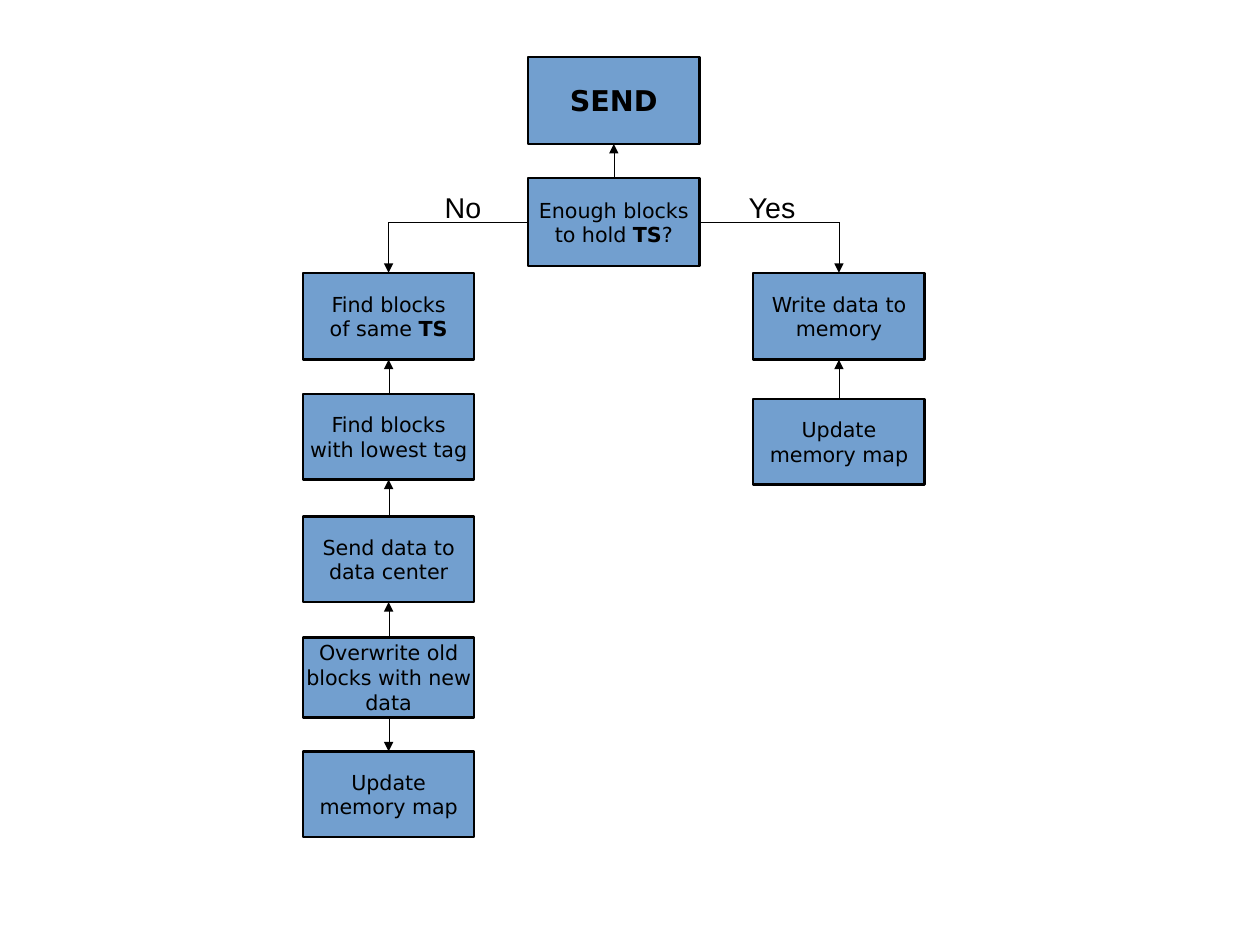
from dataclasses import dataclass

import lxml.etree
import pptx
import pptx.dml.color
import pptx.enum.shapes
import pptx.enum.text
import pptx.oxml.ns
import pptx.util

SLIDE_WIDTH, SLIDE_HEIGHT = pptx.util.Cm(28), pptx.util.Cm(21)
GRID_LEFT, GRID_TOP = 2.65, 0.5
COLUMN_PITCH, ROW_PITCH = 1.97, 1.06
STEP_WIDTH, STEP_HEIGHT = 1.5, 0.75
BLACK, STEP_BLUE = "000000", "729FCF"
TOP, LEFT, BOTTOM, RIGHT = range(4)  # connection sites of a rectangle


@dataclass(frozen=True)
class Step:
    """A box of the flow; words between asterisks are bold."""
    text: str
    column: float
    row: float
    height: float = STEP_HEIGHT
    size: int = 13


@dataclass(frozen=True)
class Arrow:
    start: str
    start_site: int
    end: str
    end_site: int


@dataclass(frozen=True)
class Answer:
    text: str
    column: float
    row: float
    width: float


STEPS = {
    "send": Step("*SEND*", 1, 0, height=0.76, size=18),
    "question": Step("Enough blocks\nto hold *TS*?", 1, 1, height=0.77),
    "find same": Step("Find blocks\nof same *TS*", 0, 1.78, height=0.76),
    "find lowest": Step("Find blocks\nwith lowest tag", 0, 2.78),
    "send data": Step("Send data to\ndata center", 0, 3.79),
    "overwrite": Step("Overwrite old\nblocks with new\ndata", 0, 4.79, height=0.7),
    "update after overwrite": Step("Update\nmemory map", 0, 5.73),
    "write": Step("Write data to\nmemory", 2, 1.78, height=0.76),
    "update after write": Step("Update\nmemory map", 2, 2.82),
}

ARROWS = [
    Arrow("question", TOP, "send", BOTTOM),
    Arrow("question", LEFT, "find same", TOP),
    Arrow("question", RIGHT, "write", TOP),
    Arrow("find lowest", TOP, "find same", BOTTOM),
    Arrow("send data", TOP, "find lowest", BOTTOM),
    Arrow("overwrite", TOP, "send data", BOTTOM),
    Arrow("overwrite", BOTTOM, "update after overwrite", TOP),
    Arrow("update after write", TOP, "write", BOTTOM),
]

ANSWERS = [Answer("No", 0.58, 1.05, 0.56), Answer("Yes", 1.93, 1.05, 0.62)]


def rgb(code: str) -> pptx.dml.color.RGBColor:
    return pptx.dml.color.RGBColor.from_string(code)


def grid_box(column: float, row: float, width: float, height: float) -> list[int]:
    """Turn a grid place and a size in inches into left, top, width, height."""
    left = GRID_LEFT + column * COLUMN_PITCH
    top = GRID_TOP + row * ROW_PITCH
    return [pptx.util.Inches(length) for length in (left, top, width, height)]


def style_paragraph(paragraph, font_name: str, size: int) -> None:
    paragraph.font.name = font_name
    paragraph.font.size = pptx.util.Pt(size)
    paragraph.font.color.rgb = rgb(BLACK)


def write_marked_text(paragraph, text: str) -> None:
    for line_number, line in enumerate(text.split("\n")):
        if line_number:
            paragraph.add_line_break()
        for part_number, part in enumerate(line.split("*")):
            if part:
                run = paragraph.add_run()
                run.text = part
                if part_number % 2:
                    run.font.bold = True


def draw_step(slide, step: Step):
    box = slide.shapes.add_shape(
        pptx.enum.shapes.MSO_SHAPE.RECTANGLE,
        *grid_box(step.column, step.row, STEP_WIDTH, step.height))
    box.shadow.inherit = False
    box.fill.solid()
    box.fill.fore_color.rgb = rgb(STEP_BLUE)
    box.line.color.rgb = rgb(BLACK)
    box.line.width = pptx.util.Pt(1.5)
    frame = box.text_frame
    frame.word_wrap = False
    frame.vertical_anchor = pptx.enum.text.MSO_ANCHOR.MIDDLE
    frame.margin_left = frame.margin_right = pptx.util.Inches(0.11)
    frame.margin_top = frame.margin_bottom = pptx.util.Inches(0.06)
    paragraph = frame.paragraphs[0]
    paragraph.alignment = pptx.enum.text.PP_ALIGN.CENTER
    style_paragraph(paragraph, "DejaVu Sans", step.size)
    write_marked_text(paragraph, step.text)
    return box


def draw_arrow(slide, arrow: Arrow, boxes: dict) -> None:
    """Join two boxes: straight in a column, with one bend between columns."""
    bent = STEPS[arrow.start].column != STEPS[arrow.end].column
    kinds = pptx.enum.shapes.MSO_CONNECTOR
    connector = slide.shapes.add_connector(
        kinds.ELBOW if bent else kinds.STRAIGHT, 0, 0, 0, 0)
    connector.begin_connect(boxes[arrow.start], arrow.start_site)
    connector.end_connect(boxes[arrow.end], arrow.end_site)
    connector.line.color.rgb = rgb(BLACK)
    qn = pptx.oxml.ns.qn
    properties = connector.element.spPr
    if bent:
        properties.find(qn("a:prstGeom")).set("prst", "bentConnector2")
    outline = properties.find(qn("a:ln"))
    outline.set("w", "0")  # hairline; line.width drops a zero
    lxml.etree.SubElement(outline, qn("a:tailEnd"), type="triangle")
    lxml.etree.SubElement(properties, qn("a:effectLst"))


def draw_answer(slide, answer: Answer) -> None:
    label = slide.shapes.add_textbox(
        *grid_box(answer.column, answer.row, answer.width, 0.43))
    label.text_frame.word_wrap = True
    paragraph = label.text_frame.paragraphs[0]
    style_paragraph(paragraph, "Arial", 18)
    write_marked_text(paragraph, answer.text)


def main() -> None:
    presentation = pptx.Presentation()
    presentation.slide_width = SLIDE_WIDTH
    presentation.slide_height = SLIDE_HEIGHT
    slide = presentation.slides.add_slide(presentation.slide_layouts[6])
    boxes = {key: draw_step(slide, step) for key, step in STEPS.items()}
    for arrow in ARROWS:
        draw_arrow(slide, arrow, boxes)
    for answer in ANSWERS:
        draw_answer(slide, answer)
    presentation.save("out.pptx")


if __name__ == "__main__":
    main()
